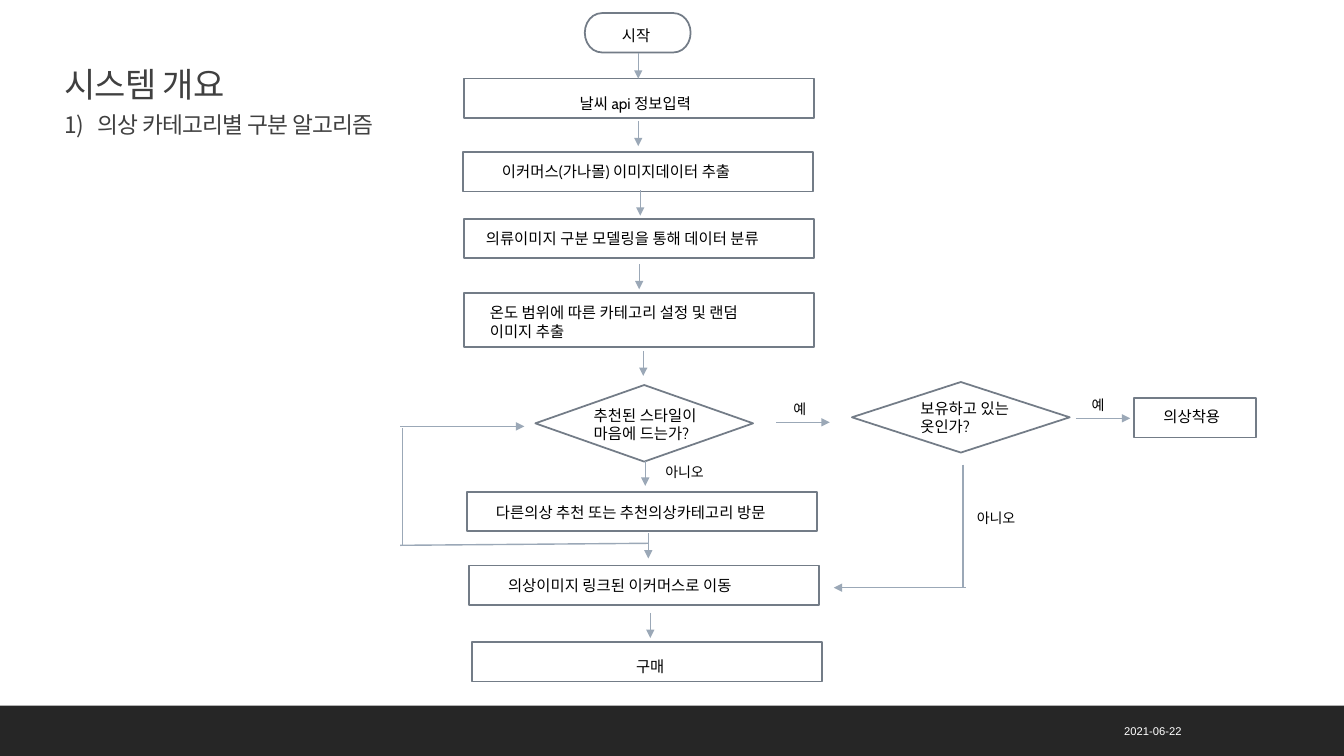
"""Build a flowchart slide for the clothing category algorithm."""
from pptx import Presentation
from pptx.dml.color import RGBColor
from pptx.enum.shapes import MSO_CONNECTOR, MSO_SHAPE as Form
from pptx.enum.text import MSO_ANCHOR as Anchor, PP_ALIGN as Align
from pptx.oxml.ns import qn
from pptx.util import Inches, Pt
from lxml.etree import SubElement

COLORS = {"bar": "262626", "title": "404040", "outline": "737C87",
          "arrow": "9BA8B7", "label": "000000", "date": "FFFFFF"}
HANGUL = "Noto Sans CJK KR"

deck = Presentation()
deck.slide_width, deck.slide_height = Inches(13.33), Inches(7.5)
slide = deck.slides.add_slide(deck.slide_layouts[6])


def add_text(text, box, size=11, font="Cabin", color="label", align=Align.LEFT,
             anchor=Anchor.TOP, line_spacing=None, tracking=None):
    frame = slide.shapes.add_textbox(*map(Inches, box)).text_frame
    frame.word_wrap = True
    frame.vertical_anchor = anchor
    frame.text = text
    for paragraph in frame.paragraphs:
        paragraph.alignment = align
        paragraph.line_spacing = line_spacing
        for run in paragraph.runs:
            run.font.size = Pt(size)
            run.font.name = font
            run.font.color.rgb = RGBColor.from_string(COLORS[color])
            properties = run.font._element
            SubElement(properties, qn("a:ea")).set("typeface", HANGUL)
            if tracking is not None:
                properties.set("spc", str(tracking))
    return frame


def add_line(start, end, arrow=True):
    line = slide.shapes.add_connector(
        MSO_CONNECTOR.STRAIGHT, *map(Inches, start + end))
    line.line.color.rgb = RGBColor.from_string(COLORS["arrow"])
    line.line.width = Pt(1)
    if arrow:
        SubElement(line.line._get_or_add_ln(), qn("a:tailEnd")).set("type", "triangle")
    SubElement(line._element.spPr, qn("a:effectLst"))


bar = slide.shapes.add_shape(
    Form.RECTANGLE, 0, Inches(7), deck.slide_width, Inches(0.5))
bar.shadow.inherit = False
bar.fill.solid()
bar.fill.fore_color.rgb = RGBColor.from_string(COLORS["bar"])
bar.line.fill.background()

heading = add_text("시스템 개요\n1)\t의상 카테고리별 구분 알고리즘", (0.54, 0.6, 11, 0.82),
                   size=24.3, font=HANGUL, color="title", anchor=Anchor.BOTTOM,
                   line_spacing=0.9, tracking=-50)
subtitle = heading.paragraphs[1]
subtitle.space_before = Pt(6.5)
subtitle.runs[0].font.size = Pt(16.2)
hanging = subtitle._p.get_or_add_pPr()
hanging.set("marL", str(Inches(0.33)))
hanging.set("indent", str(-Inches(0.33)))

add_text("2021-06-22", (8.99, 7.05, 2.83, 0.4), size=8, font="Arial",
         color="date", align=Align.RIGHT, anchor=Anchor.MIDDLE)

process, decision = Form.FLOWCHART_PROCESS, Form.FLOWCHART_DECISION
steps = [
    (Form.FLOWCHART_TERMINATOR, (5.8, 0.13, 1.05, 0.39),
     "시작", (6.07, 0.21, 0.63, 0.29)),
    (process, (4.6, 0.78, 3.47, 0.39),
     "날씨 api 정보입력", (5.65, 0.88, 1.48, 0.29)),
    (process, (4.59, 1.51, 3.47, 0.39),
     "이커머스(가나몰) 이미지데이터 추출", (4.88, 1.56, 2.78, 0.29)),
    (process, (4.6, 2.17, 3.47, 0.39),
     "의류이미지 구분 모델링을 통해 데이터 분류", (4.72, 2.22, 3.22, 0.29)),
    (process, (4.6, 2.91, 3.47, 0.53),
     "온도 범위에 따른 카테고리 설정 및 랜덤 이미지 추출", (4.76, 2.96, 3.05, 0.47)),
    (decision, (5.31, 3.82, 2.16, 0.76),
     "추천된 스타일이 마음에 드는가?", (5.79, 3.98, 1.57, 0.47)),
    (decision, (8.45, 3.79, 2.16, 0.7),
     "보유하고 있는 옷인가?", (9.03, 3.91, 1.3, 0.47)),
    (process, (4.63, 4.88, 3.47, 0.39),
     "다른의상 추천 또는 추천의상카테고리 방문", (4.82, 4.94, 3.22, 0.29)),
    (process, (4.65, 5.61, 3.47, 0.39),
     "의상이미지 링크된 이커머스로 이동", (4.94, 5.67, 3.22, 0.29)),
    (process, (4.68, 6.37, 3.47, 0.39),
     "구매", (6.21, 6.47, 1.82, 0.29)),
    (process, (11.25, 3.95, 1.21, 0.39),
     "의상착용", (11.44, 3.99, 0.92, 0.29)),
]
for form, box, label, label_box in steps:
    step = slide.shapes.add_shape(form, *map(Inches, box))
    step.shadow.inherit = False
    step.fill.background()
    step.line.color.rgb = RGBColor.from_string(COLORS["outline"])
    step.line.width = Pt(1.25)
    add_text(label, label_box)

for x, y in [(6.33, 0.53), (6.33, 1.2), (6.35, 1.89), (6.34, 2.62),
             (6.38, 3.48), (6.4, 4.57), (6.43, 5.29), (6.45, 6.08)]:
    add_line((x, y), (x, y + 0.25))

for start, end, arrow in [
    ((6.43, 5.39), (3.97, 5.41), False),
    ((3.99, 5.41), (3.99, 4.25), False),
    ((3.97, 4.23), (5.2, 4.23), True),
    ((7.7, 4.19), (8.23, 4.19), True),
    ((10.67, 4.15), (11.21, 4.15), True),
    ((9.55, 4.61), (9.55, 5.83), False),
    ((9.58, 5.83), (8.27, 5.83), True),
]:
    add_line(start, end, arrow)

for answer, x, y, width in [("아니오", 6.5, 4.55, 0.63), ("예", 7.77, 3.92, 0.34),
                            ("예", 10.73, 3.88, 0.34), ("아니오", 9.59, 5.01, 0.63)]:
    add_text(answer, (x, y, width, 0.27), size=10)

deck.save("out.pptx")
